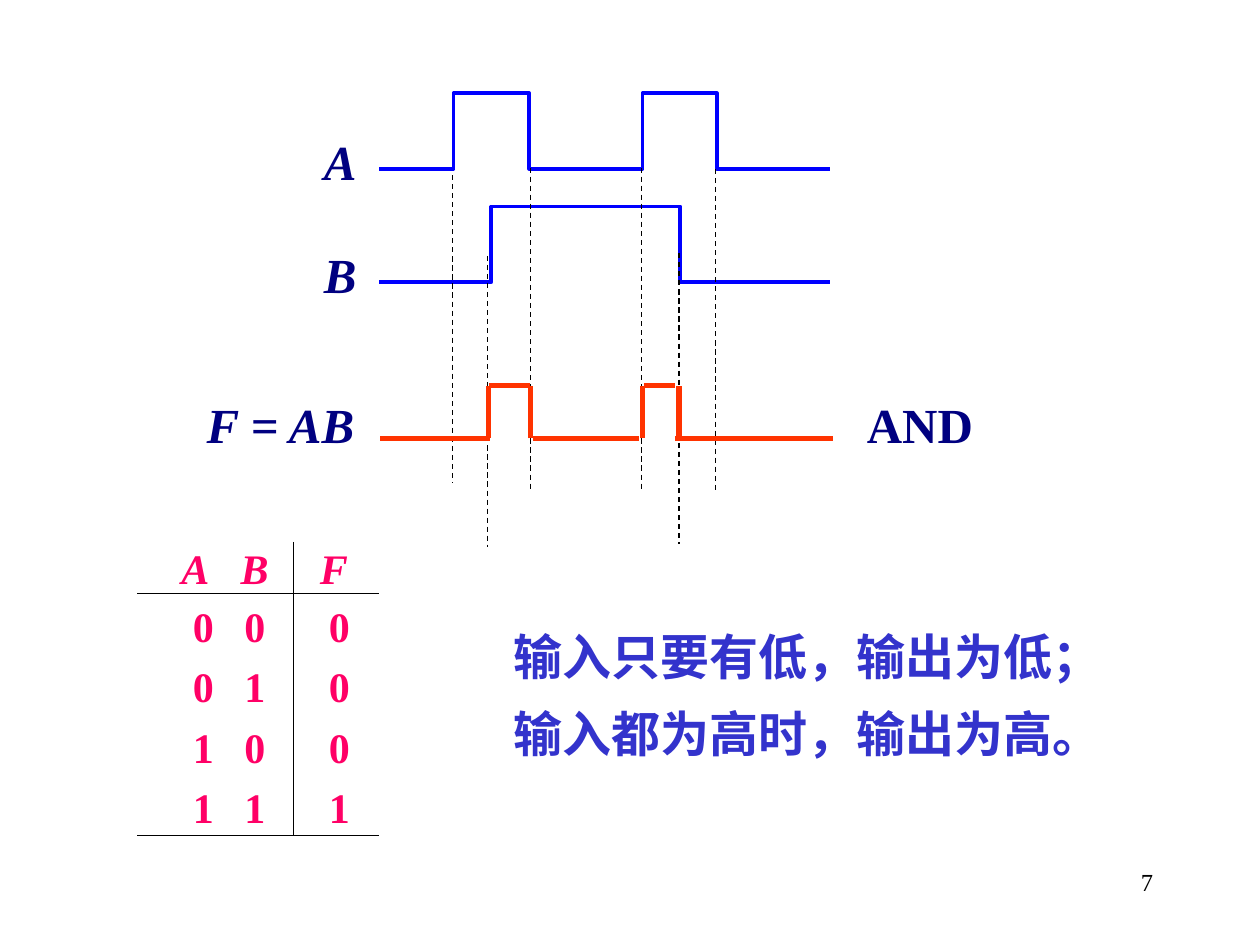
"""Build a slide on the AND gate: its waveforms, truth table and rule."""
from lxml import etree
from pptx import Presentation
from pptx.dml.color import RGBColor
from pptx.enum import dml, shapes, text
from pptx.oxml import ns
from pptx.util import Inches, Pt

HUES = {"ink": "000000", "wave": "0000FF", "name": "000080",
        "out": "FF3300", "rule": "3333CC", "bit": "FF0066"}
ROMAN = "Times New Roman"
HAN = "Noto Sans CJK SC"


def put(frame, words, hue="name", size=28, bold=True, slant=False,
        face=ROMAN, align=text.PP_ALIGN.LEFT, gap=0, pad=(0, 0)):
    frame.word_wrap = True
    frame.margin_left = frame.margin_right = Inches(pad[0])
    frame.margin_top = frame.margin_bottom = Inches(pad[1])
    for i, row in enumerate(words.split("\n")):
        para = frame.add_paragraph() if i else frame.paragraphs[0]
        para.alignment = align
        if i:
            para.space_before = Pt(gap)
        run = para.add_run()
        run.text = row
        font = run.font
        font.name, font.size, font.bold, font.italic = face, Pt(size), bold, slant
        font.color.rgb = RGBColor.from_string(HUES[hue])
        etree.SubElement(font._element, ns.qn("a:ea"), typeface=face)


def draw(x1, y1, x2, y2, hue, width, dash=None):
    line = slide.shapes.add_connector(
        shapes.MSO_CONNECTOR.STRAIGHT, *map(Inches, (x1, y1, x2, y2)))
    line.line.color.rgb = RGBColor.from_string(HUES[hue])
    line.line.width = Pt(width)
    line.line.dash_style = dash
    etree.SubElement(line._element.spPr, ns.qn("a:effectLst"))


deck = Presentation()
deck.slide_width, deck.slide_height = Inches(10), Inches(7.5)
slide = deck.slides.add_slide(deck.slide_layouts[6])

waves = [(1.34, [3.6, 4.2, 5.1, 5.69]), (2.24, [3.9, 5.4])]
for base, edges in waves:
    pen = slide.shapes.build_freeform(Inches(3.01), Inches(base))
    level, dots = base, []
    for x in edges:
        dots.append((Inches(x), Inches(level)))
        level = base - 0.6 if level == base else base
        dots.append((Inches(x), Inches(level)))
    pen.add_line_segments(dots + [(Inches(6.59), Inches(base))], close=False)
    wave = pen.convert_to_shape()
    wave.shadow.inherit = False
    wave.fill.background()
    wave.line.color.rgb = RGBColor.from_string(HUES["wave"])
    wave.line.width = Pt(2.13)

guides = [(3.59, 1.39, 3.83), (4.21, 1.33, 3.89), (3.87, 2.03, 4.34),
          (5.68, 1.34, 3.9), (5.09, 1.33, 3.89), (5.39, 2.01, 4.32)]
for x, top, end in guides:
    draw(x, top, x, end, "ink", 0.75, dml.MSO_LINE.DASH)

low, high = 3.48, 3.06
for x1, x2, y in [(3.02, 3.61, low), (3.56, 3.89, low), (3.88, 4.21, high),
                  (4.23, 5.07, low), (5.11, 5.36, high), (5.36, 6.61, low)]:
    draw(x1, y, x2, y, "out", 3)
for x in (3.88, 4.21, 5.1, 5.39):
    draw(x, low, x, high, "out", 3)

notes = [
    ("A", (2.57, 1.04, 0.34, 0.47), dict(slant=True)),
    ("B", (2.57, 1.94, 0.34, 0.47), dict(slant=True)),
    ("F = AB", (1.64, 3.13, 1.22, 0.47), dict(slant=True)),
    ("AND", (6.88, 3.13, 0.95, 0.47), dict()),
    ("输入只要有低，输出为低；\n输入都为高时，输出为高。", (3.98, 4.92, 5.51, 1.18),
     dict(hue="rule", face=HAN, gap=10.5, pad=(0.1, 0.05))),
    ("7", (7.17, 6.83, 2.08, 0.5),
     dict(hue="ink", size=14, bold=False, align=text.PP_ALIGN.RIGHT,
          pad=(0.1, 0.05))),
]
for words, place, form in notes:
    box = slide.shapes.add_textbox(*map(Inches, place))
    put(box.text_frame, words, **form)

rows = ["ABF", "000", "010", "100", "111"]
grid = slide.shapes.add_table(
    5, 3, *map(Inches, (1.09, 4.3, 1.92, 2.33))).table
grid.first_row = grid.horz_banding = False
grid._tbl.tblPr[0].text = "{2D5ABB26-0587-4C30-8999-92F81FD0307C}"
for col, width in zip(grid.columns, (0.72, 0.52, 0.68)):
    col.width = Inches(width)
for r, row in enumerate(rows):
    grid.rows[r].height = Inches(0.48 if r else 0.41)
    for c, bit in enumerate(row):
        cell = grid.cell(r, c)
        put(cell.text_frame, bit, hue="bit", size=24, slant=r == 0)
        cell.margin_left = Inches(((0.44, 0.13, 0.28) if r else (0.35, 0.1, 0.21))[c])
        cell.margin_right = cell.margin_top = 0
        cell.margin_bottom = Inches(0.02 if r else 0)
        cell.vertical_anchor = text.MSO_ANCHOR.BOTTOM
        cell.fill.background()
        sides = {"lnL": c == 2, "lnR": c == 1, "lnT": r == 1, "lnB": r in (0, 4)}
        props = cell._tc.get_or_add_tcPr()
        for i, (side, shown) in enumerate(sides.items()):
            edge = etree.Element(ns.qn("a:" + side), w=str(Pt(0.75)))
            fill = etree.SubElement(
                edge, ns.qn("a:solidFill" if shown else "a:noFill"))
            if shown:
                etree.SubElement(fill, ns.qn("a:srgbClr"), val=HUES["ink"])
            props.insert(i, edge)

deck.save("out.pptx")
